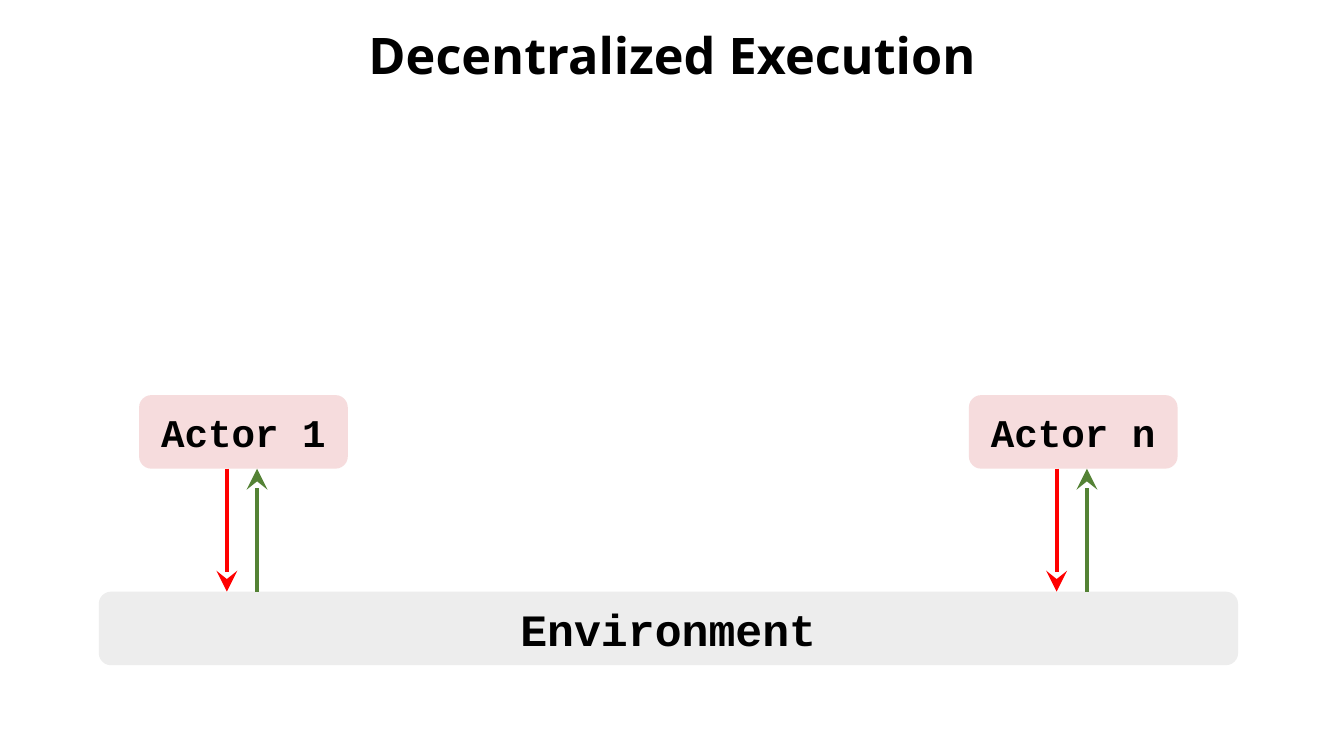
from pptx import Presentation
from pptx.dml.color import RGBColor
from pptx.enum.shapes import MSO_CONNECTOR as CONNECTOR, MSO_SHAPE as SHAPE
from pptx.enum.text import MSO_ANCHOR as ANCHOR, PP_ALIGN as ALIGN
from pptx.oxml.ns import qn
from pptx.util import Inches, Pt
from lxml.etree import SubElement

TITLE = "Decentralized Execution"
ENVIRONMENT = "Environment"
ACTORS = [("Actor 1", 1.38), ("Actor n", 9.61)]  # label, left edge

COLORS = {
    "text": "000000",
    "actor": "F6DCDD",
    "environment": "EDEDED",
    "action": "FF0000",
    "observation": "548235",
}
TITLE_FONT, BOX_FONT = "Noto Sans", "Courier New"

BOX_HEIGHT = 0.73
ACTOR_TOP, ACTOR_WIDTH = 3.92, 2.07
ENVIRONMENT_LEFT, ENVIRONMENT_TOP, ENVIRONMENT_WIDTH = 0.98, 5.87, 11.3
ACTION_OFFSET, OBSERVATION_OFFSET = 0.87, 1.17  # from an actor's left edge


def color(name):
    return RGBColor.from_string(COLORS[name])


def write_centered(shape, text, font_name, size):
    frame = shape.text_frame
    frame.text = text
    frame.word_wrap = True
    frame.vertical_anchor = ANCHOR.MIDDLE
    paragraph = frame.paragraphs[0]
    paragraph.alignment = ALIGN.CENTER
    font = paragraph.runs[0].font
    font.name, font.size, font.bold = font_name, Pt(size), True
    font.color.rgb = color("text")
    return paragraph


def add_box(slide, text, left, top, width, fill, size):
    box = slide.shapes.add_shape(SHAPE.ROUNDED_RECTANGLE, Inches(left), Inches(top),
                                 Inches(width), Inches(BOX_HEIGHT))
    box.shadow.inherit = False
    box.fill.solid()
    box.fill.fore_color.rgb = color(fill)
    box.line.fill.background()
    write_centered(box, text, BOX_FONT, size)


def add_vertical_arrow(slide, x, start, end, line_color):
    arrow = slide.shapes.add_connector(CONNECTOR.STRAIGHT, Inches(x), Inches(start),
                                       Inches(x), Inches(end))
    arrow.line.color.rgb = color(line_color)
    arrow.line.width = Pt(3)
    SubElement(arrow.line._get_or_add_ln(), qn("a:tailEnd"),
               type="stealth", w="lg", len="lg")
    SubElement(arrow._element.spPr, qn("a:effectLst"))


def main():
    presentation = Presentation()
    presentation.slide_width, presentation.slide_height = Inches(13.33), Inches(7.5)
    slide = presentation.slides.add_slide(presentation.slide_layouts[5])

    title = slide.shapes.title
    title.left, title.top = Inches(0), Inches(0.01)
    title.width, title.height = Inches(13.33), Inches(1.13)
    write_centered(title, TITLE, TITLE_FONT, 36).line_spacing = 0.9

    add_box(slide, ENVIRONMENT, ENVIRONMENT_LEFT, ENVIRONMENT_TOP,
            ENVIRONMENT_WIDTH, "environment", 32)
    actor_bottom = ACTOR_TOP + BOX_HEIGHT
    for label, left in ACTORS:
        add_box(slide, label, left, ACTOR_TOP, ACTOR_WIDTH, "actor", 28)
        add_vertical_arrow(slide, left + ACTION_OFFSET,
                           actor_bottom, ENVIRONMENT_TOP, "action")
        add_vertical_arrow(slide, left + OBSERVATION_OFFSET,
                           ENVIRONMENT_TOP, actor_bottom, "observation")

    presentation.save("out.pptx")


if __name__ == "__main__":
    main()
